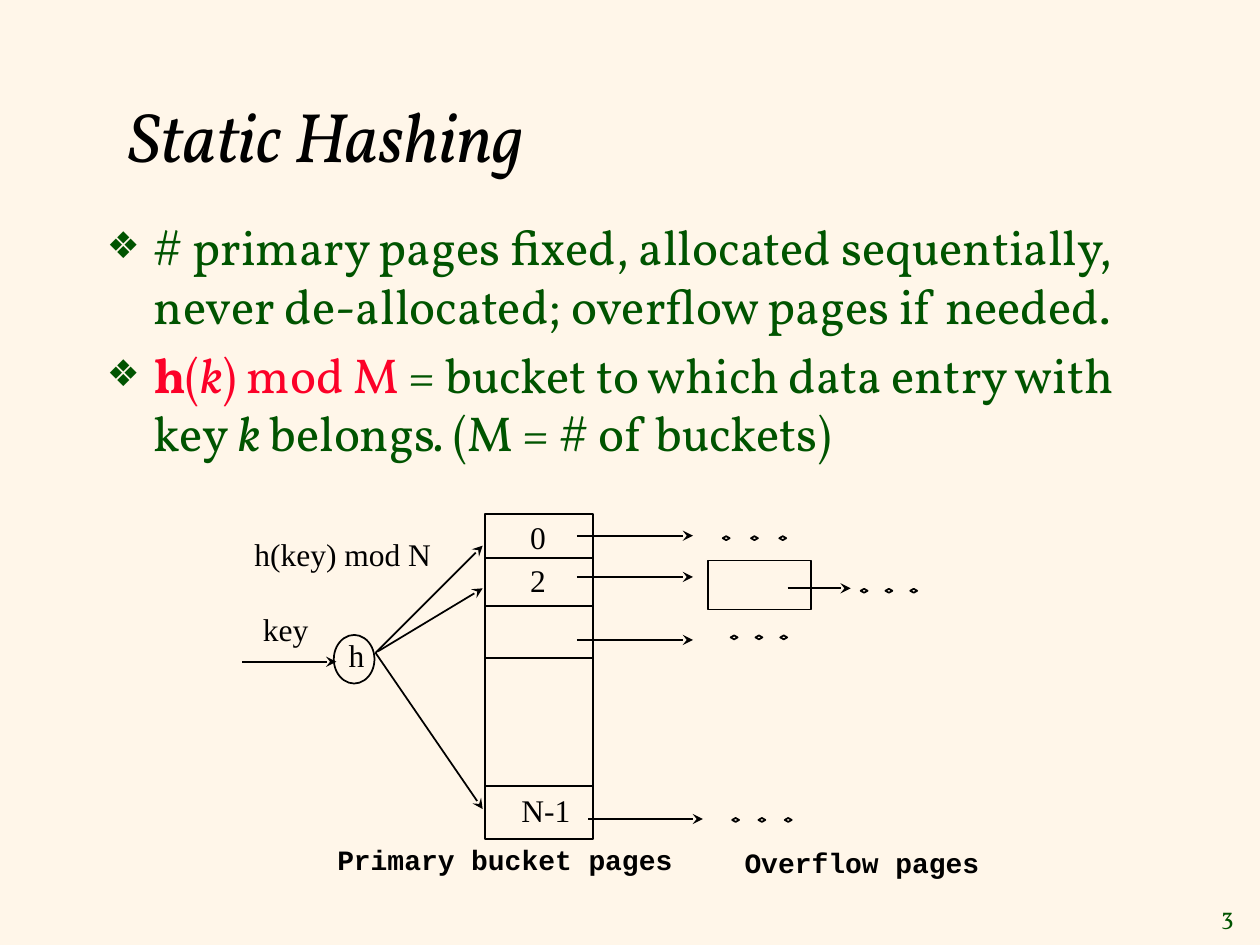
from lxml.etree import SubElement
from pptx import Presentation
from pptx.dml.color import RGBColor
from pptx.enum.shapes import MSO_CONNECTOR, MSO_SHAPE
from pptx.enum.text import MSO_ANCHOR, MSO_AUTO_SIZE, PP_ALIGN
from pptx.oxml.ns import qn
from pptx.util import Cm, Pt

INK, GREEN, RED, CREAM = "000000", "005400", "FC0128", "FFF6E9"


def style(run, face, size, color, bold=False, italic=False):
    font = run.font
    font.name, font.size = face, Pt(size)
    font.bold, font.italic = bold, italic
    font.color.rgb = RGBColor.from_string(color)


def draw_line(x1, y1, x2, y2, arrow=False):
    line = slide.shapes.add_connector(
        MSO_CONNECTOR.STRAIGHT, Cm(x1), Cm(y1), Cm(x2), Cm(y2))
    line.line.width = Pt(1)
    line.line.color.rgb = RGBColor.from_string(INK)
    if arrow:
        SubElement(line.line._get_or_add_ln(), qn("a:tailEnd"), type="stealth")
    SubElement(line._element.spPr, qn("a:effectLst"))


prs = Presentation()
prs.slide_width, prs.slide_height = Cm(25.4), Cm(19.05)
slide = prs.slides.add_slide(prs.slide_layouts[1])
slide.background.fill.solid()
slide.background.fill.fore_color.rgb = RGBColor.from_string(CREAM)

# Title and bullet list
title, body = slide.placeholders
title.left, title.top, title.width, title.height = Cm(2.34), Cm(1.17), Cm(21.59), Cm(3.07)
title.text_frame.text = "Static Hashing"
title.text_frame.vertical_anchor = MSO_ANCHOR.MIDDLE
title.text_frame.auto_size = MSO_AUTO_SIZE.NONE
title.text_frame.paragraphs[0].alignment = PP_ALIGN.LEFT
style(title.text_frame.paragraphs[0].runs[0], "Vollkorn", 40, INK, italic=True)

bullets = [
    [("# primary pages fixed, allocated sequentially, never de-allocated; "
      "overflow pages if needed.", GREEN, False, False)],
    [("h", RED, True, False), ("(", RED, False, False), ("k", RED, False, True),
     (") mod M ", RED, False, False),
     ("= bucket to which data entry with key", GREEN, False, False),
     (" k ", GREEN, False, True), ("belongs", GREEN, False, False),
     (". ", GREEN, False, True), ("(M = # of buckets)", GREEN, False, False)],
]
body.left, body.top, body.width, body.height = Cm(1.9), Cm(4.24), Cm(22.43), Cm(13.34)
body.text_frame.auto_size = MSO_AUTO_SIZE.NONE
for i, pieces in enumerate(bullets):
    paragraph = body.text_frame.add_paragraph() if i else body.text_frame.paragraphs[0]
    props = paragraph._p.get_or_add_pPr()
    props.set("marL", str(Cm(0.95)))
    props.set("indent", str(-Cm(0.95)))
    SubElement(SubElement(props, qn("a:buClr")), qn("a:srgbClr"), val=GREEN)
    SubElement(props, qn("a:buSzPct"), val="75000")
    SubElement(props, qn("a:buChar"), char="❖")
    paragraph.space_before = Pt(5.6 if i else 0)
    for text, color, bold, italic in pieces:
        run = paragraph.add_run()
        run.text = text
        style(run, "Vollkorn", 28, color, bold, italic)

# Bucket column, overflow page, hash function and ellipsis dots
outlines = [
    (MSO_SHAPE.RECTANGLE, 14.27, 11.3, 2.08, 0.99),
    (MSO_SHAPE.OVAL, 6.73, 12.8, 0.82, 0.98),
    (MSO_SHAPE.RECTANGLE, 9.78, 10.36, 2.18, 6.55),
]
dot_width, dot_height = 0.14, 0.08
for first_x, gap, y in [(14.64, 0.57, 10.85), (17.42, 0.5, 11.91),
                        (14.8, 0.5, 12.85), (14.83, 0.53, 16.53)]:
    for n in range(3):
        outlines.append((MSO_SHAPE.DIAMOND, first_x + n * gap - dot_width / 2,
                         y - dot_height / 2, dot_width, dot_height))
for preset, x, y, width, height in outlines:
    outline = slide.shapes.add_shape(preset, Cm(x), Cm(y), Cm(width), Cm(height))
    outline.shadow.inherit = False
    outline.fill.background()
    outline.line.width = Pt(1)
    outline.line.color.rgb = RGBColor.from_string(INK)

# Labels and page number
serif = ("Times New Roman", 18, INK)
mono = ("Courier New", 16, INK, True)
for text, x, y, width, height, look in [
    ("h(key) mod N", 4.88, 10.67, 4.2, 1.02, serif),
    ("h", 6.78, 12.7, 0.81, 1.02, serif),
    ("key", 5.05, 12.17, 1.42, 1.02, serif),
    ("Primary bucket pages", 6.55, 16.87, 7.26, 0.91, mono),
    ("Overflow pages", 14.76, 16.92, 5.23, 0.91, mono),
    ("2", 10.44, 11.18, 0.81, 1.02, serif),
    ("0", 10.44, 10.31, 0.81, 1.02, serif),
    ("N-1", 10.26, 15.82, 1.5, 1.02, serif),
    ("3", 24, 18.03, 1.12, 0.84, ("Vollkorn", 14, GREEN)),
]:
    label = slide.shapes.add_textbox(Cm(x), Cm(y), Cm(width), Cm(height))
    label.text_frame.text = text
    label.text_frame.word_wrap = False
    label.text_frame.auto_size = MSO_AUTO_SIZE.SHAPE_TO_FIT_TEXT
    style(label.text_frame.paragraphs[0].runs[0], *look)
page_number = label.text_frame
page_number.vertical_anchor = MSO_ANCHOR.MIDDLE
page_number.paragraphs[0].alignment = PP_ALIGN.RIGHT

# Arrows: key to hash, hash to buckets, buckets to overflow pages
for ends in [(7.62, 13.13, 9.73, 11.86), (7.57, 13.16, 9.73, 11),
             (4.88, 13.34, 6.78, 13.34), (7.57, 13.16, 9.73, 16.31),
             (11.86, 16.51, 14.17, 16.51), (15.88, 11.86, 17.15, 11.86)]:
    draw_line(*ends, arrow=True)
for y in (10.8, 11.63, 12.9):
    draw_line(11.63, y, 13.97, y, arrow=True)

# Bucket dividers
for y in (11.25, 12.22, 13.26, 15.85):
    draw_line(9.78, y, 11.96, y)

prs.save("out.pptx")
